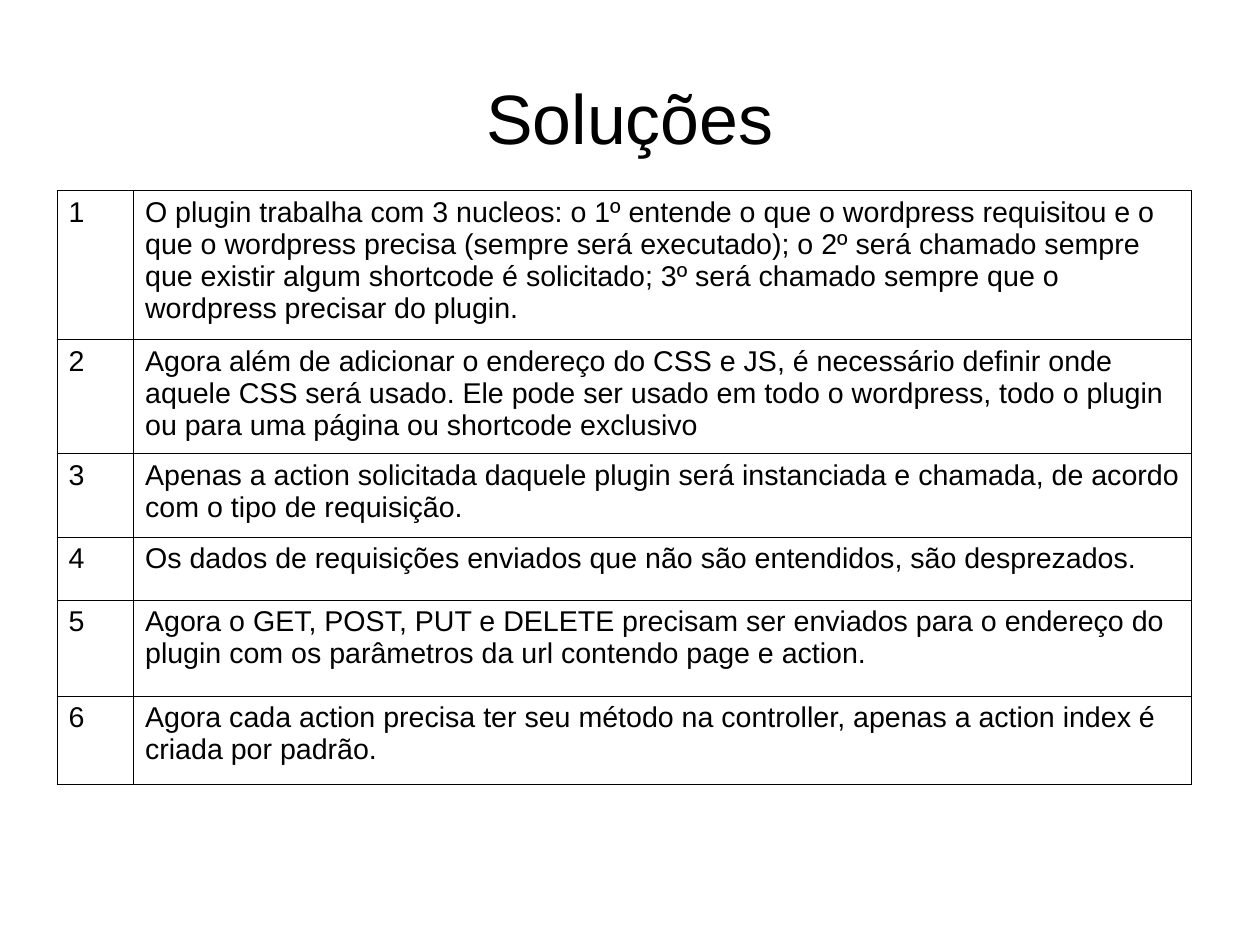
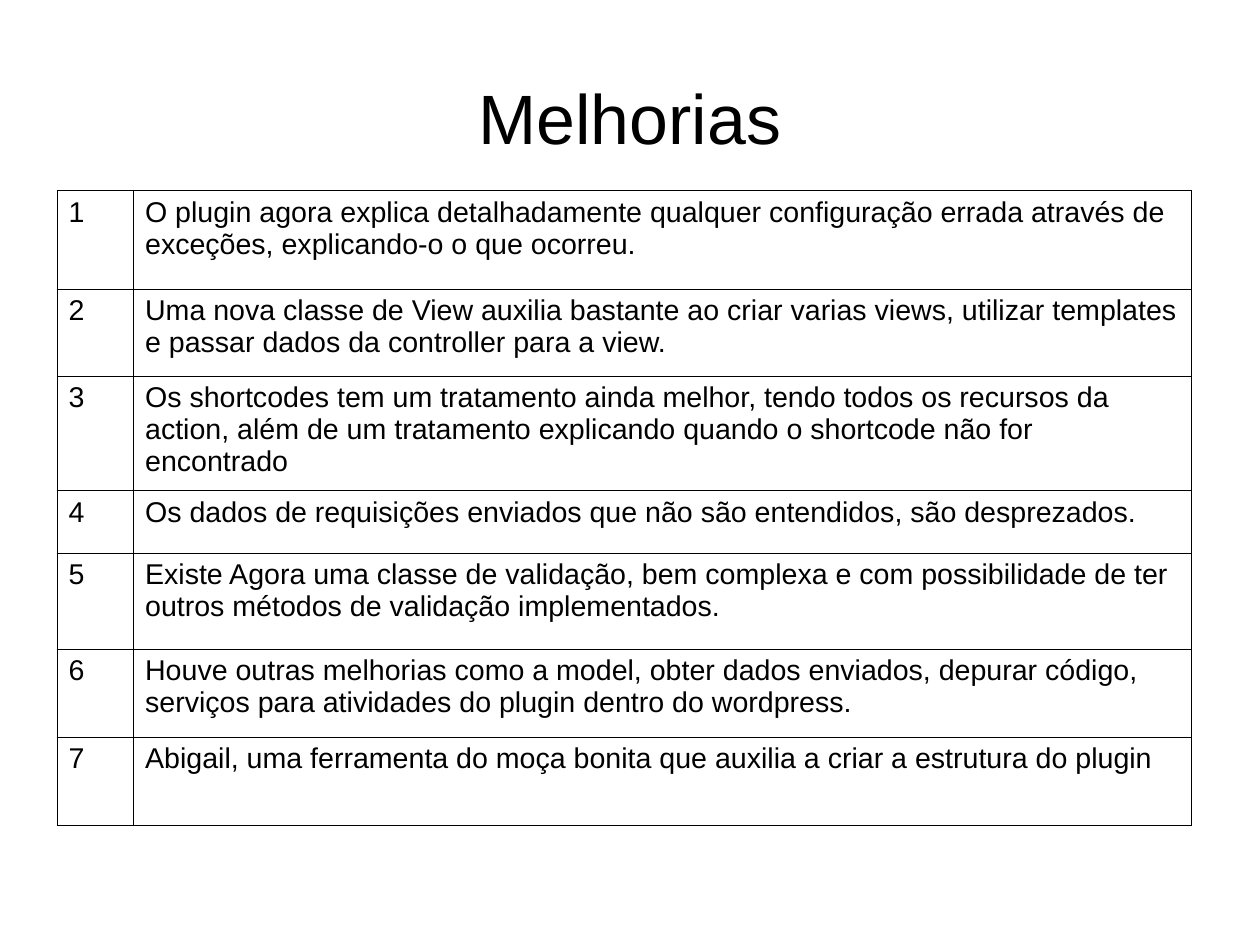
from dataclasses import dataclass

from lxml import etree
from pptx import Presentation
from pptx.dml.color import RGBColor
from pptx.enum.text import MSO_ANCHOR, PP_ALIGN
from pptx.oxml.ns import qn
from pptx.util import Cm, Inches, Pt

MIDDLE = MSO_ANCHOR.MIDDLE
TOP = MSO_ANCHOR.TOP
CENTER = PP_ALIGN.CENTER
LEFT = PP_ALIGN.LEFT

COLORS = {"ink": "000000", "paper": "FFFFFF"}
FONT = "Arial"
WIDE, HIGH = Cm(28), Cm(21)
SPAN = int(0.9 * WIDE)
COLUMNS = (Inches(0.67), Inches(9.25))
EDGES = ("a:lnL", "a:lnR", "a:lnT", "a:lnB")
BORDER = Pt(0.57)


@dataclass(frozen=True)
class Item:
    height: float
    text: str


@dataclass(frozen=True)
class Page:
    title: str
    items: tuple[Item, ...]


SHARED = Item(0.55, "Os dados de requisições enviados que não são entendidos, são desprezados.")

PAGES = (
    Page("Soluções", (
        Item(1.3, "O plugin trabalha com 3 nucleos: o 1º entende o que o wordpress requisitou e o "
                  "que o wordpress precisa (sempre será executado); o 2º será chamado sempre que "
                  "existir algum shortcode é solicitado; 3º será chamado sempre que o wordpress "
                  "precisar do plugin."),
        Item(1.0, "Agora além de adicionar o endereço do CSS e JS, é necessário definir onde aquele "
                  "CSS será usado. Ele pode ser usado em todo o wordpress, todo o plugin ou para "
                  "uma página ou shortcode exclusivo"),
        Item(0.73, "Apenas a action solicitada daquele plugin será instanciada e chamada, de acordo "
                   "com o tipo de requisição."),
        SHARED,
        Item(0.84, "Agora o GET, POST, PUT e DELETE precisam ser enviados para o endereço do plugin "
                   "com os parâmetros da url contendo page e action."),
        Item(0.77, "Agora cada action precisa ter seu método na controller, apenas a action index é "
                   "criada por padrão."),
    )),
    Page("Melhorias", (
        Item(0.86, "O plugin agora explica detalhadamente qualquer configuração errada através de "
                   "exceções, explicando-o o que ocorreu."),
        Item(0.76, "Uma nova classe de View auxilia bastante ao criar varias views, utilizar "
                   "templates e passar dados da controller para a view."),
        Item(1.0, "Os shortcodes tem um tratamento ainda melhor, tendo todos os recursos da action, "
                  "além de um tratamento explicando quando o shortcode não for encontrado"),
        SHARED,
        Item(0.84, "Existe Agora uma classe de validação, bem complexa e com possibilidade de ter "
                   "outros métodos de validação implementados."),
        Item(0.77, "Houve outras melhorias como a model, obter dados enviados, depurar código, "
                   "serviços para atividades do plugin dentro do wordpress."),
        Item(0.77, "Abigail, uma ferramenta do moça bonita que auxilia a criar a estrutura do plugin"),
    )),
)


def write(frame, text: str, size: int, align) -> None:
    frame.text = text
    frame.word_wrap = True
    line = frame.paragraphs[0]
    line.alignment = align
    font = line.runs[0].font
    font.name = FONT
    font.size = Pt(size)
    font.color.rgb = RGBColor.from_string(COLORS["ink"])


def add_title(slide, text: str) -> None:
    box = slide.shapes.add_textbox(
        int(0.05 * WIDE), int(0.04 * HIGH), SPAN, HIGH // 6)
    frame = box.text_frame
    frame.margin_left = frame.margin_right = 0
    frame.margin_top = frame.margin_bottom = 0
    frame.vertical_anchor = MIDDLE
    write(frame, text, 44, CENTER)


def outline(cell) -> None:
    props = cell._tc.get_or_add_tcPr()
    for place, edge in enumerate(EDGES):
        line = etree.Element(qn(edge), w=str(int(BORDER)))
        fill = etree.SubElement(line, qn("a:solidFill"))
        etree.SubElement(fill, qn("a:srgbClr"), val=COLORS["ink"])
        props.insert(place, line)


def fill_cell(cell, text: str) -> None:
    cell.margin_left = cell.margin_right = Inches(0.1)
    cell.margin_top = cell.margin_bottom = Inches(0.05)
    cell.vertical_anchor = TOP
    cell.fill.background()
    write(cell.text_frame, text, 18, LEFT)
    outline(cell)


def add_list(slide, items: tuple[Item, ...]) -> None:
    total = sum(item.height for item in items)
    table = slide.shapes.add_table(
        len(items), 2, Inches(0.5), Inches(1.67), sum(COLUMNS), Inches(total)).table
    table.first_row = False
    table.horz_banding = False
    for column, width in zip(table.columns, COLUMNS):
        column.width = width
    for index, item in enumerate(items):
        table.rows[index].height = Inches(item.height)
        fill_cell(table.cell(index, 0), str(index + 1))
        fill_cell(table.cell(index, 1), item.text)


def main() -> None:
    deck = Presentation()
    deck.slide_width = WIDE
    deck.slide_height = HIGH
    blank = deck.slide_layouts[6]
    for page in PAGES:
        slide = deck.slides.add_slide(blank)
        paper = slide.background.fill
        paper.solid()
        paper.fore_color.rgb = RGBColor.from_string(COLORS["paper"])
        add_title(slide, page.title)
        add_list(slide, page.items)
    deck.save("out.pptx")


if __name__ == "__main__":
    main()
